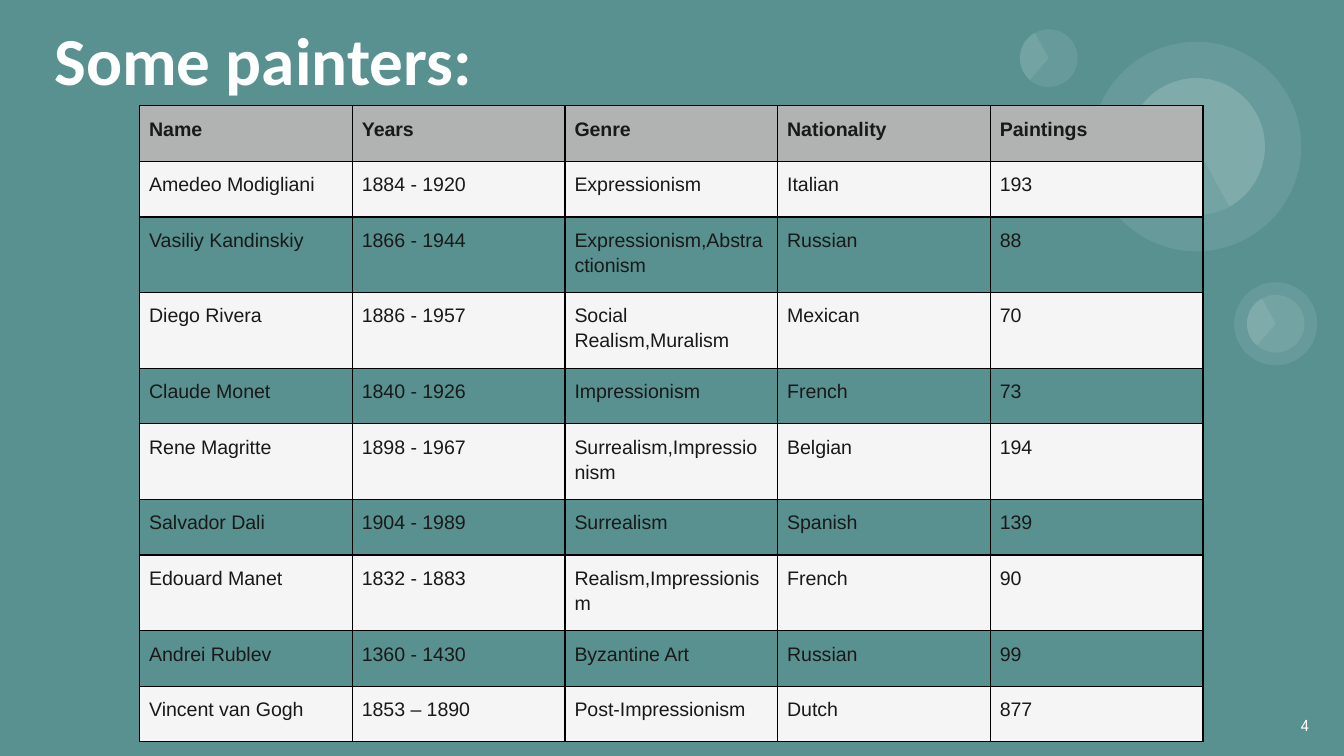
from pptx import Presentation
from pptx.dml.color import RGBColor
from pptx.enum.shapes import MSO_SHAPE
from pptx.enum.text import MSO_ANCHOR, MSO_AUTO_SIZE, PP_ALIGN
from pptx.oxml import parse_xml
from pptx.oxml.ns import nsdecls, qn
from pptx.oxml.xmlchemy import OxmlElement
from pptx.util import Cm, Pt

OVAL, PIE = MSO_SHAPE.OVAL, MSO_SHAPE.PIE
MIDDLE = MSO_ANCHOR.MIDDLE
NO_FIT = MSO_AUTO_SIZE.NONE
LEFT, RIGHT = PP_ALIGN.LEFT, PP_ALIGN.RIGHT

COLORS = {
    "background": "599191",
    "white": "FFFFFF",
    "header": "B0B3B2",
    "stripe": "F5F5F5",
    "ink": "191919",
    "border": "000000",
}

BIG_WEDGE = (322.95, 205.23)
SMALL_WEDGE = (95, 205.23)

CIRCLES = [
    (22.61, 2.77, 2.59, 215.9, None),
    (22.61, 2.77, 2.59, 215.9, BIG_WEDGE),
    (22.61, 2.77, 3.96, 215.8, None),
    (24.11, 6.12, 1.57, 35.9, None),
    (24.11, 6.12, 1.09, 35.8, None),
    (24.11, 6.12, 1.09, 35.8, SMALL_WEDGE),
    (19.82, 1.1, 1.09, 35.8, None),
    (19.82, 1.1, 1.09, 35.8, SMALL_WEDGE),
]

PAINTERS = [
    ("Name", "Years", "Genre", "Nationality", "Paintings"),
    ("Amedeo Modigliani", "1884 - 1920", "Expressionism", "Italian", "193"),
    ("Vasiliy Kandinskiy", "1866 - 1944", "Expressionism,Abstractionism", "Russian", "88"),
    ("Diego Rivera", "1886 - 1957", "Social Realism,Muralism", "Mexican", "70"),
    ("Claude Monet", "1840 - 1926", "Impressionism", "French", "73"),
    ("Rene Magritte", "1898 - 1967", "Surrealism,Impressionism", "Belgian", "194"),
    ("Salvador Dali", "1904 - 1989", "Surrealism", "Spanish", "139"),
    ("Edouard Manet", "1832 - 1883", "Realism,Impressionism", "French", "90"),
    ("Andrei Rublev", "1360 - 1430", "Byzantine Art", "Russian", "99"),
    ("Vincent van Gogh", "1853 – 1890", "Post-Impressionism", "Dutch", "877"),
]
LONGEST_GENRE_LINE = 20


class SlideBuilder:
    def __init__(self, deck):
        self.page = deck.slides.add_slide(deck.slide_layouts[5])
        fill = self.page.background.fill
        fill.solid()
        fill.fore_color.rgb = self.color("background")

    def color(self, name):
        return RGBColor.from_string(COLORS[name])

    def format_font(self, para, font, size, color, bold=False):
        for span in para.runs:
            span.font.name = font
            span.font.size = Pt(size)
            span.font.bold = bold
            span.font.color.rgb = self.color(color)

    def fill_text(self, box, text, font, size, align, bold=False):
        frame = box.text_frame
        frame.text = text
        frame.word_wrap = True
        frame.auto_size = NO_FIT
        frame.vertical_anchor = MIDDLE
        frame.margin_left = frame.margin_right = Cm(0.25)
        frame.margin_top = frame.margin_bottom = Cm(0.25)
        para = frame.paragraphs[0]
        para.alignment = align
        self.format_font(para, font, size, "white", bold)

    def title(self, text, left, top, width, height):
        box = self.page.shapes.title
        box.left, box.top = Cm(left), Cm(top)
        box.width, box.height = Cm(width), Cm(height)
        self.fill_text(box, text, "Calibri", 36, LEFT, bold=True)

    def page_number(self, text, left, top, width, height):
        box = self.page.shapes.add_textbox(Cm(left), Cm(top), Cm(width), Cm(height))
        self.fill_text(box, text, "League Spartan", 9, RIGHT)

    def circle(self, center_x, center_y, size, rotation, wedge=None):
        shape = self.page.shapes.add_shape(
            PIE if wedge else OVAL,
            Cm(center_x - size / 2), Cm(center_y - size / 2), Cm(size), Cm(size))
        shape.rotation = rotation
        shape.shadow.inherit = False
        if wedge:
            for index, degrees in enumerate(wedge):
                shape.adjustments[index] = degrees * 0.6
        shape.fill.solid()
        shape.fill.fore_color.rgb = self.color("white")
        alpha = OxmlElement("a:alpha")
        alpha.set("val", "9000")
        shape._element.spPr.find(".//" + qn("a:srgbClr")).append(alpha)
        shape.line.fill.background()

    def borders(self, cell):
        properties = cell._tc.get_or_add_tcPr()
        for side in ("lnL", "lnR", "lnT", "lnB"):
            properties.append(parse_xml(
                f'<a:{side} {nsdecls("a")} w="{Pt(0.75)}"><a:solidFill>'
                f'<a:srgbClr val="{COLORS["border"]}"/></a:solidFill></a:{side}>'))

    def cell(self, cell, text, fill, bold):
        cell.text = text
        cell.margin_left = cell.margin_right = Cm(0.18)
        cell.margin_top = cell.margin_bottom = Cm(0.18)
        para = cell.text_frame.paragraphs[0]
        para.line_spacing = 1.15
        self.format_font(para, "Arial", 10.5, "ink", bold)
        self.borders(cell)
        if fill:
            cell.fill.solid()
            cell.fill.fore_color.rgb = self.color(fill)
        else:
            cell.fill.background()

    def table(self, rows, left, top, column_width):
        heights = [Cm(1.43 if len(row[2]) > LONGEST_GENRE_LINE else 1.05) for row in rows]
        columns = len(rows[0])
        table = self.page.shapes.add_table(
            len(rows), columns, Cm(left), Cm(top),
            Cm(column_width * columns), sum(heights)).table
        table.horz_banding = False
        for column in table.columns:
            column.width = Cm(column_width)
        for r, row in enumerate(rows):
            table.rows[r].height = heights[r]
            fill = "header" if r == 0 else "stripe" if r % 2 else None
            for c, text in enumerate(row):
                self.cell(table.cell(r, c), text, fill, bold=r == 0)


def main():
    deck = Presentation()
    deck.slide_width, deck.slide_height = Cm(25.4), Cm(14.29)
    builder = SlideBuilder(deck)
    for circle in CIRCLES:
        builder.circle(*circle)
    builder.page_number("4", 23.47, 13.16, 1.52, 1.09)
    builder.title("Some painters:", 0.78, 0.2, 11.43, 1.8)
    builder.table(PAINTERS, 2.64, 2, 4.02)
    deck.save("out.pptx")


if __name__ == "__main__":
    main()
